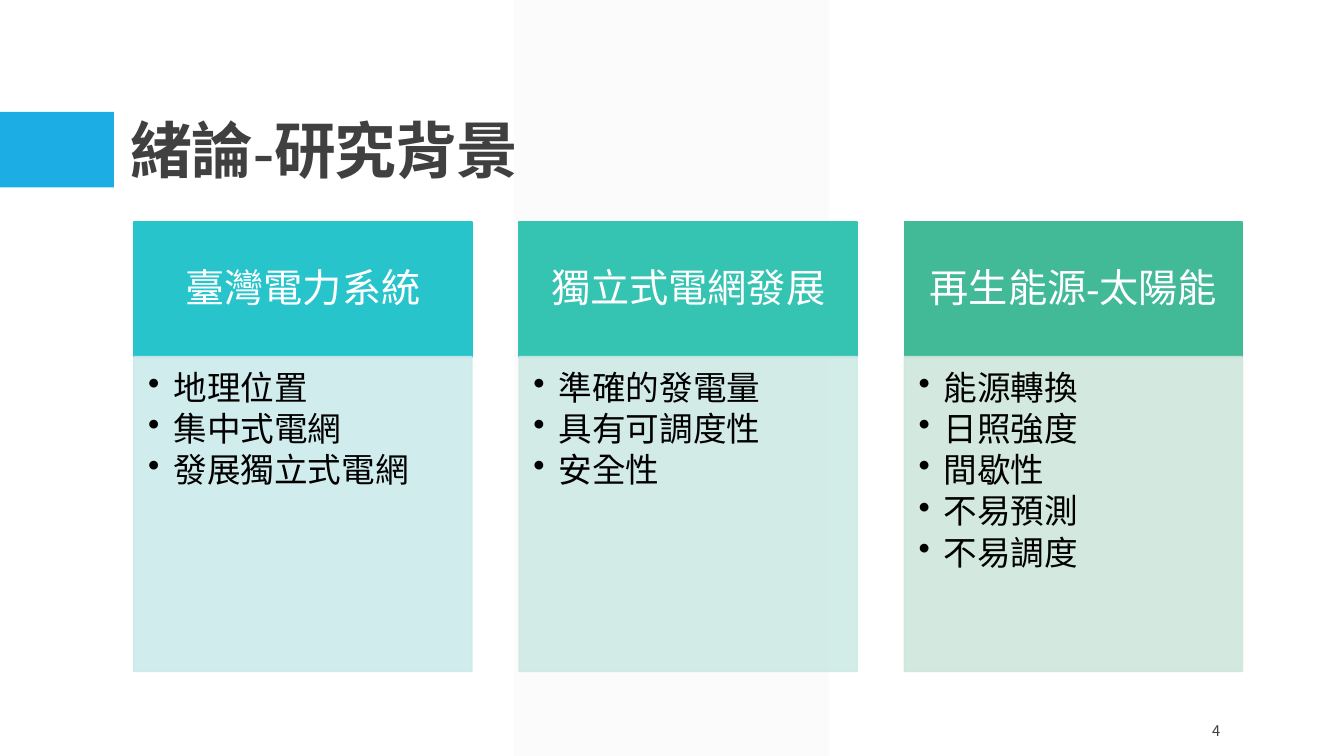
import pptx
import pptx.dml.color
import pptx.enum.shapes
import pptx.enum.text
import pptx.oxml.ns
import pptx.util
from lxml import etree

Inches = pptx.util.Inches
Shape = pptx.enum.shapes.MSO_SHAPE
Align = pptx.enum.text.PP_ALIGN
Anchor = pptx.enum.text.MSO_ANCHOR
qn = pptx.oxml.ns.qn

SLIDE_WIDTH, SLIDE_HEIGHT = 13.33, 7.5
LATIN_FONT, ASIAN_FONT = "Times New Roman", "Noto Sans CJK TC"
DARK = "404040"

# Column grid
GRID_LEFT, GRID_TOP = 1.33, 2.2
COLUMN_WIDTH, COLUMN_STEP = 3.35, 3.82
HEADER_HEIGHT, BODY_HEIGHT = 1.34, 3.12

# Heading, heading colour, body colour, points
COLUMNS = [
    ("臺灣電力系統", "28C4CC", "CDEAEC",
     ["地理位置", "集中式電網", "發展獨立式電網"]),
    ("獨立式電網發展", "35C3B2", "CEEAE5",
     ["準確的發電量", "具有可調度性", "安全性"]),
    ("再生能源-太陽能", "42BA97", "CFE7DD",
     ["能源轉換", "日照強度", "間歇性", "不易預測", "不易調度"]),
]


def paint(color_format, color, opacity=100):
    color_format.rgb = pptx.dml.color.RGBColor.from_string(color)
    return opacity


def fill_solid(fill, color, opacity=100):
    fill.solid()
    paint(fill.fore_color, color)
    if opacity < 100:
        solid = fill._xPr.find(qn("a:solidFill"))
        etree.SubElement(solid[0], qn("a:alpha"), val=str(opacity * 1000))


def add_block(slide, kind, box, color, opacity=100, outlined=False):
    shape = slide.shapes.add_shape(kind, *map(Inches, box))
    shape.shadow.inherit = False
    fill_solid(shape.fill, color, opacity)
    if outlined:
        shape.line.width = pptx.util.Pt(1.25)
        fill_solid(shape.line.fill, color, opacity)
    else:
        shape.line.fill.background()
    return shape


def set_frame(shape, anchor, insets=(0.1, 0.05, 0.1, 0.05)):
    frame = shape.text_frame
    frame.word_wrap = True
    frame.vertical_anchor = anchor
    (frame.margin_left, frame.margin_top,
     frame.margin_right, frame.margin_bottom) = map(Inches, insets)
    return frame


def add_run(paragraph, text, size, color, font=LATIN_FONT, bold=False):
    run = paragraph.add_run()
    run.text = text
    run.font.size = pptx.util.Pt(size)
    run.font.bold = bold
    run.font.name = font
    paint(run.font.color, color)
    properties = run._r.get_or_add_rPr()
    properties.set("lang", "zh-TW")
    etree.SubElement(properties, qn("a:ea"), typeface=ASIAN_FONT)
    return run


def set_spacing(paragraph, after_percent):
    paragraph.line_spacing = 0.9
    after = etree.SubElement(paragraph._p.get_or_add_pPr(), qn("a:spcAft"))
    etree.SubElement(after, qn("a:spcPct"), val=str(after_percent * 1000))


def add_bullet(paragraph):
    properties = paragraph._p.get_or_add_pPr()
    properties.set("marL", str(Inches(0.25)))
    properties.set("indent", str(Inches(-0.25)))
    etree.SubElement(properties, qn("a:buChar"), char="•")


def draw_backdrop(slide):
    band = add_block(slide, Shape.PARALLELOGRAM, (5.1, 0, 3.12, SLIDE_HEIGHT),
                     "F2F2F2", 30)
    band.adjustments[0] = 0
    add_block(slide, Shape.RECTANGLE, (0, 1.11, 1.13, 0.75), "1CADE4")


def draw_title(slide, box, text):
    shape = slide.shapes.add_textbox(*map(Inches, box))
    paragraph = set_frame(shape, Anchor.BOTTOM).paragraphs[0]
    paragraph.line_spacing = 0.9
    run = add_run(paragraph, text, 44, DARK, bold=True)
    run._r.get_or_add_rPr().set("spc", "-50")


def draw_column(slide, left, top, heading, heading_color, body_color, points):
    # Heading
    header = add_block(slide, Shape.RECTANGLE,
                       (left, top, COLUMN_WIDTH, HEADER_HEIGHT),
                       heading_color, outlined=True)
    frame = set_frame(header, Anchor.MIDDLE, (0.22, 0.12, 0.22, 0.12))
    paragraph = frame.paragraphs[0]
    paragraph.alignment = Align.CENTER
    set_spacing(paragraph, 35)
    add_run(paragraph, heading, 28, "FFFFFF")

    # Bulleted body
    body = add_block(slide, Shape.RECTANGLE,
                     (left, top + HEADER_HEIGHT, COLUMN_WIDTH, BODY_HEIGHT),
                     body_color, 90, outlined=True)
    frame = set_frame(body, Anchor.TOP, (0.14, 0.14, 0.19, 0.21))
    for index, point in enumerate(points):
        paragraph = frame.add_paragraph() if index else frame.paragraphs[0]
        paragraph.alignment = Align.LEFT
        set_spacing(paragraph, 15)
        add_bullet(paragraph)
        add_run(paragraph, point, 24, "000000")


def draw_page_number(slide, box, number):
    shape = slide.shapes.add_textbox(*map(Inches, box))
    paragraph = set_frame(shape, Anchor.MIDDLE).paragraphs[0]
    paragraph.alignment = Align.RIGHT
    add_run(paragraph, number, 10.5, DARK, font=ASIAN_FONT)


def main():
    presentation = pptx.Presentation()
    presentation.slide_width = Inches(SLIDE_WIDTH)
    presentation.slide_height = Inches(SLIDE_HEIGHT)
    slide = presentation.slides.add_slide(presentation.slide_layouts[6])
    draw_backdrop(slide)
    draw_title(slide, (1.2, 0.31, 11, 1.59), "緒論-研究背景")
    for index, column in enumerate(COLUMNS):
        draw_column(slide, GRID_LEFT + index * COLUMN_STEP, GRID_TOP, *column)
    draw_page_number(slide, (11.35, 7.05, 0.85, 0.4), "4")
    presentation.save("out.pptx")


if __name__ == "__main__":
    main()
